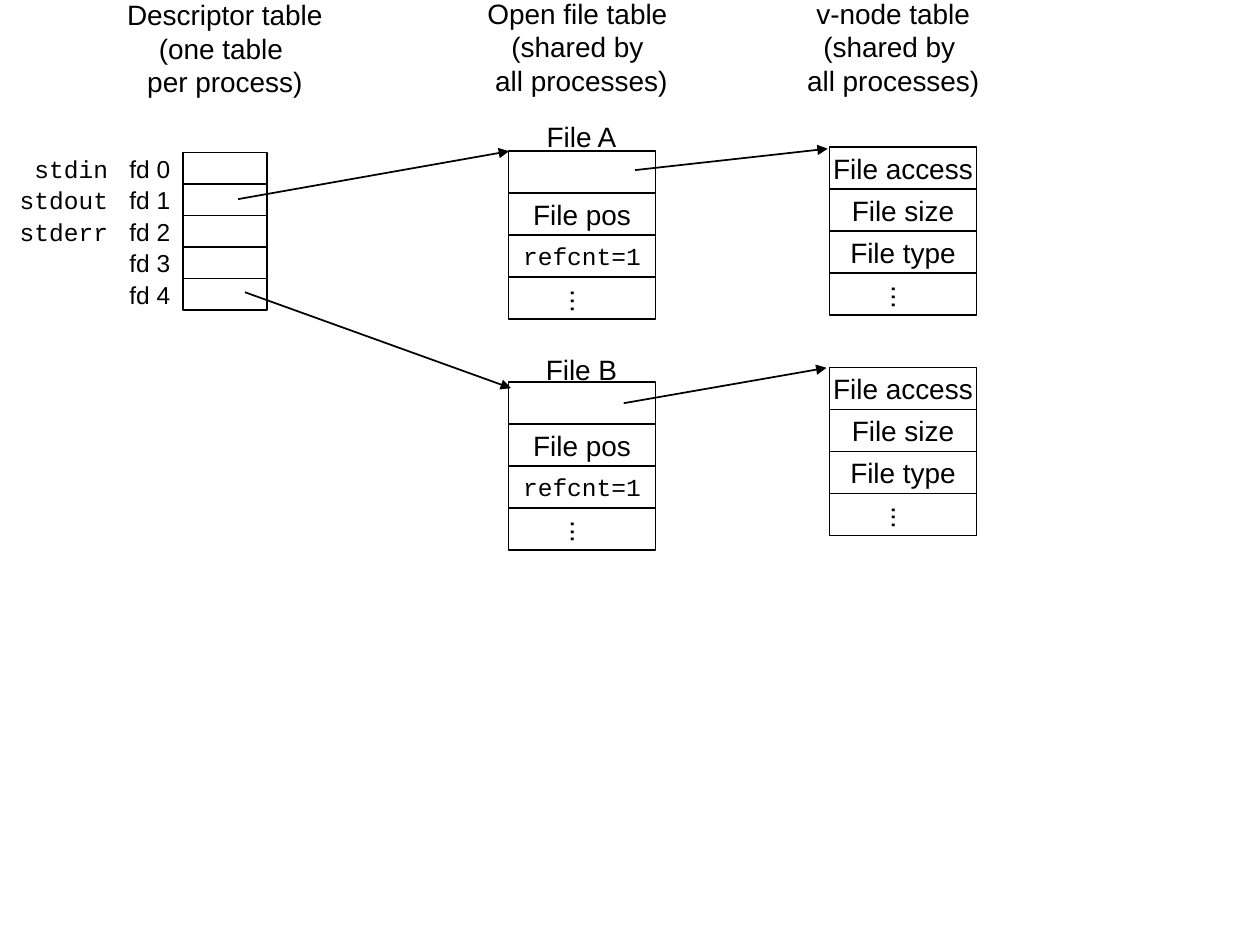
from lxml import etree
from pptx import Presentation
from pptx.dml.color import RGBColor
from pptx.enum import shapes, text
from pptx.oxml.ns import qn
from pptx.util import Pt

THEME = {
    "ink": RGBColor(0, 0, 0),
    "line": 1,
    "body": {"name": "Arial", "size": Pt(16)},
    "label": {"name": "Arial", "size": Pt(14)},
    "code": {"name": "Courier New", "size": Pt(14)},
}

# Content: headings are (lines, centre, top, width)
HEADINGS = [
    (["Descriptor table", "(one table ", "per process)"], 128.5, -5, 128),
    (["Open file table ", "(shared by ", "all processes)"], 332.2, -5.8, 124),
    (["v-node table", "(shared by ", "all processes)"], 510.4, -5.8, 116),
]
DESCRIPTORS = ["fd 0", "fd 1", "fd 2", "fd 3", "fd 4"]
STREAMS = ["stdin", "stdout", "stderr"]
OPEN_FILE = [("", "body"), ("File pos", "body"), ("refcnt=1", "code"), ("...", "body")]
VNODE = [("File access", "body"), ("File size", "body"), ("File type", "body"), ("...", "body")]
RECORDS = [  # rows, left, top
    (OPEN_FILE, 290.6, 86.4),
    (OPEN_FILE, 290.6, 218.2),
    (VNODE, 474, 84),
    (VNODE, 474, 210),
]
FILE_NAMES = [("File A", 64.8), ("File B", 198)]
ARROWS = [  # start, end
    ((136.1, 113.8), (290.9, 86.4)),
    ((140, 167), (292, 221.8)),
    ((362.9, 97.2), (473, 85)),
    ((356.4, 230.4), (472.3, 210.2)),
]

# Geometry
FD_LEFT, FD_TOP, FD_WIDTH, FD_HEIGHT = 104.4, 87.2, 48.2, 18
RECORD_WIDTH, RECORD_HEIGHT = 84, 24
STREAM_RIGHT, STREAM_HEIGHT, CODE_ADVANCE = 69, 24.5, 8.4
NAME_CENTRE, NAME_WIDTH, NAME_HEIGHT = 332.3, 60, 26.6

deck = Presentation()
deck.slide_width, deck.slide_height = Pt(720), Pt(540)
page = deck.slides.add_slide(deck.slide_layouts[6])


def write(shape, lines, style, align, grow=False):
    frame = shape.text_frame
    vertical = lines == ["..."]
    across, along = (3.6, 7.2) if vertical else (7.2, 3.6)
    settings = {
        "word_wrap": False,
        "vertical_anchor": text.MSO_ANCHOR.MIDDLE,
        "auto_size": text.MSO_AUTO_SIZE.SHAPE_TO_FIT_TEXT if grow else text.MSO_AUTO_SIZE.NONE,
        "margin_left": Pt(across), "margin_right": Pt(across),
        "margin_top": Pt(along), "margin_bottom": Pt(along),
    }
    for name, value in settings.items():
        setattr(frame, name, value)
    if vertical:
        shape.element.txBody.find(qn("a:bodyPr")).set("vert", "eaVert")
    for index, line in enumerate(lines):
        para = frame.add_paragraph() if index else frame.paragraphs[0]
        para.alignment = align
        span = para.add_run()
        span.text = line
        for name, value in THEME[style].items():
            setattr(span.font, name, value)
        span.font.color.rgb = THEME["ink"]


def add_label(lines, left, top, width, height, style, align, grow=False):
    box = page.shapes.add_textbox(Pt(left), Pt(top), Pt(width), Pt(height))
    write(box, lines, style, align, grow)


def add_cell(left, top, width, height, caption="", style="body"):
    cell = page.shapes.add_shape(shapes.MSO_SHAPE.RECTANGLE, Pt(left), Pt(top), Pt(width), Pt(height))
    cell.shadow.inherit = False
    cell.fill.background()
    cell.line.color.rgb = THEME["ink"]
    cell.line.width = Pt(THEME["line"])
    if caption:
        write(cell, [caption], style, text.PP_ALIGN.CENTER)


def add_arrow(start, end):
    arrow = page.shapes.add_connector(shapes.MSO_CONNECTOR.STRAIGHT, *(Pt(v) for v in start + end))
    arrow.line.color.rgb = THEME["ink"]
    arrow.line.width = Pt(THEME["line"])
    outline = arrow.element.spPr.find(qn("a:ln"))
    etree.SubElement(outline, qn("a:tailEnd"), type="triangle")
    etree.SubElement(arrow.element.spPr, qn("a:effectLst"))


# Column headings
for lines, centre, top, width in HEADINGS:
    add_label(lines, centre - width / 2, top, width, 64.8, "body", text.PP_ALIGN.CENTER, grow=True)

# Descriptor table with its row labels
for row, name in enumerate(DESCRIPTORS):
    top = FD_TOP + row * FD_HEIGHT
    add_cell(FD_LEFT, top, FD_WIDTH, FD_HEIGHT)
    add_label([name], FD_LEFT - FD_WIDTH, top, FD_WIDTH, FD_HEIGHT, "label", text.PP_ALIGN.RIGHT)

# Standard stream names, flush right and centred on their rows
for row, name in enumerate(STREAMS):
    width = 14.4 + CODE_ADVANCE * len(name)
    top = FD_TOP + row * FD_HEIGHT - (STREAM_HEIGHT - FD_HEIGHT) / 2
    add_label([name], STREAM_RIGHT - width, top, width + 1, STREAM_HEIGHT, "code", text.PP_ALIGN.LEFT, grow=True)

# Open file and v-node records
for rows, left, top in RECORDS:
    for row, (caption, style) in enumerate(rows):
        add_cell(left, top + row * RECORD_HEIGHT, RECORD_WIDTH, RECORD_HEIGHT, caption, style)

# File names above the open file records
for name, top in FILE_NAMES:
    add_label([name], NAME_CENTRE - NAME_WIDTH / 2, top, NAME_WIDTH, NAME_HEIGHT,
              "body", text.PP_ALIGN.CENTER, grow=True)

# Pointers between the tables
for start, end in ARROWS:
    add_arrow(start, end)

deck.save("out.pptx")
